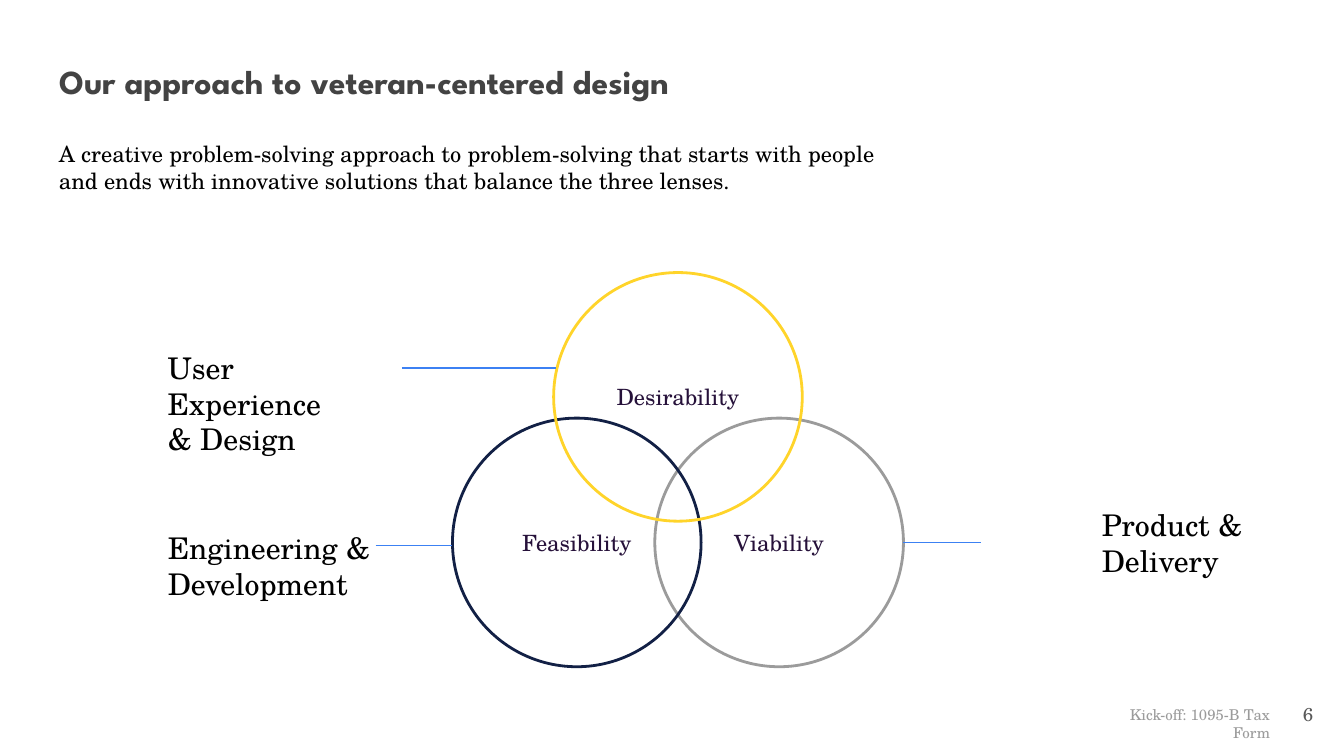
from pptx import Presentation
from pptx.dml.color import RGBColor
from pptx.enum.shapes import MSO_CONNECTOR, MSO_SHAPE
from pptx.enum.text import MSO_ANCHOR, MSO_AUTO_SIZE, PP_ALIGN
from pptx.oxml.ns import qn
from pptx.util import Pt
from lxml import etree

LEFT, CENTER, RIGHT = PP_ALIGN.LEFT, PP_ALIGN.CENTER, PP_ALIGN.RIGHT
TOP, MIDDLE = MSO_ANCHOR.TOP, MSO_ANCHOR.MIDDLE
NO_FIT = MSO_AUTO_SIZE.NONE
OVAL = MSO_SHAPE.OVAL
STRAIGHT = MSO_CONNECTOR.STRAIGHT
HEADING_FONT, BODY_FONT = "League Spartan", "TeX Gyre Schola"
TITLE_ONLY = 5


def color(hex_string):
    return RGBColor.from_string(hex_string)


def write(shape, text, size, hex_string, align=LEFT, anchor=TOP,
          font=BODY_FONT, bold=False):
    frame = shape.text_frame
    frame.text = text
    frame.word_wrap = True
    frame.auto_size = NO_FIT
    frame.vertical_anchor = anchor
    frame.margin_left = frame.margin_right = Pt(7.2)
    frame.margin_top = frame.margin_bottom = Pt(7.2)
    for paragraph in frame.paragraphs:
        paragraph.alignment = align
        for run in paragraph.runs:
            run.font.name = font
            run.font.size = Pt(size)
            run.font.bold = bold
            run.font.color.rgb = color(hex_string)


prs = Presentation()
prs.slide_width, prs.slide_height = Pt(720), Pt(405)
slide = prs.slides.add_slide(prs.slide_layouts[TITLE_ONLY])
shapes = slide.shapes

# Title
title = shapes.title
title.left, title.top, title.width, title.height = Pt(24.5), Pt(25.2), Pt(671), Pt(36)
write(title, "Our approach to veteran-centered design", 18, "434343",
      font=HEADING_FONT, bold=True)

# Three overlapping lenses
DIAMETER = 133.2
lenses = [
    ("Viability", 350.8, 224, "9B9B9B"),
    ("Feasibility", 242.4, 224, "122045"),
    ("Desirability", 296.6, 146, "FFD42A"),
]
for name, left, top, outline in lenses:
    lens = shapes.add_shape(OVAL, Pt(left), Pt(top), Pt(DIAMETER), Pt(DIAMETER))
    lens.shadow.inherit = False
    lens.fill.background()
    lens.line.color.rgb = color(outline)
    lens.line.width = Pt(1.5)
    write(lens, name, 12, "26113A", CENTER, MIDDLE)

# Introduction, team labels, footer and page number
texts = [
    ("A creative problem-solving approach to problem-solving that starts with "
     "people and ends with innovative solutions that balance the three lenses.",
     24.5, 67.7, 456.5, 44, 12, "000000", LEFT, TOP),
    ("User Experience\n& Design", 82.8, 180, 131.8, 53.3, 16, "000000", LEFT, TOP),
    ("Engineering & Development", 82.8, 276.5, 133.2, 53.3, 16, "000000", LEFT, TOP),
    ("Product & Delivery", 583.2, 264.4, 127.4, 53.3, 16, "000000", LEFT, TOP),
    ("Kick-off: 1095-B Tax Form", 577.4, 370.8, 110.2, 28, 8, "9B9B9B", RIGHT, TOP),
    ("6", 667.4, 367.2, 43.2, 31, 10, "595959", RIGHT, MIDDLE),
]
for text, left, top, width, height, size, ink, align, anchor in texts:
    box = shapes.add_textbox(Pt(left), Pt(top), Pt(width), Pt(height))
    write(box, text, size, ink, align, anchor)

# Lines from teams to lenses
for start, end, y in [(215.3, 298, 197.2), (201.2, 242.4, 292.2), (484, 525.6, 290.8)]:
    link = shapes.add_connector(STRAIGHT, Pt(start), Pt(y), Pt(end), Pt(y))
    link.line.color.rgb = color("3C81F3")
    link.line.width = Pt(0.75)
    etree.SubElement(link._element.spPr, qn("a:effectLst"))

prs.save("out.pptx")
